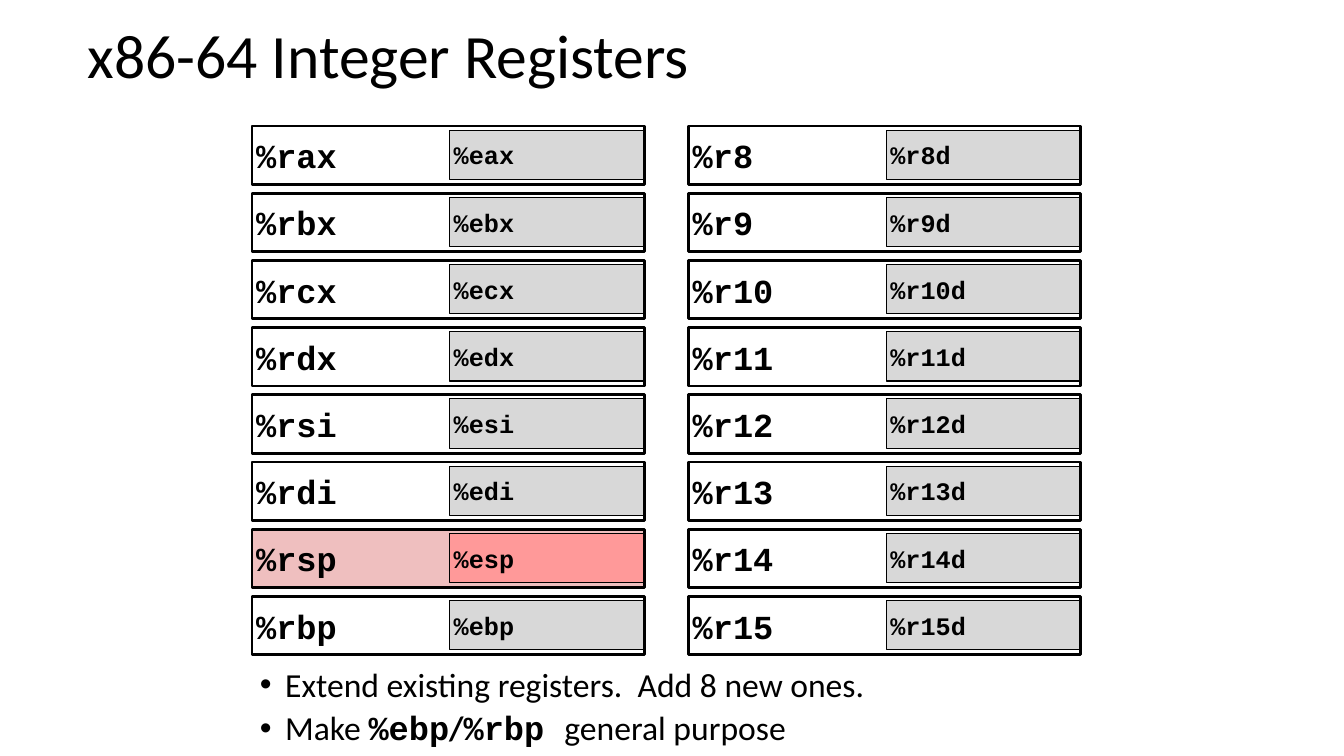
from lxml.etree import SubElement
from pptx import Presentation
from pptx.dml.color import RGBColor
from pptx.enum.shapes import MSO_SHAPE
from pptx.enum.text import MSO_ANCHOR, PP_ALIGN
from pptx.oxml.ns import qn
from pptx.util import Inches, Pt

LEFT_REGISTERS = ["rax", "rbx", "rcx", "rdx", "rsi", "rdi", "rsp", "rbp"]
RIGHT_REGISTERS = [f"r{number}" for number in range(8, 16)]
COLUMNS = [
    (2.5, LEFT_REGISTERS, ["e" + name[1:] for name in LEFT_REGISTERS]),
    (6.83, RIGHT_REGISTERS, [name + "d" for name in RIGHT_REGISTERS]),
]
FIRST_TOP = 1.25
ROW_PITCH = 2 / 3
STACK_POINTER = "rsp"


def color(value):
    return RGBColor.from_string(value)


def add_span(para, text, size=24, font="Calibri", bold=False, ink="000000"):
    span = para.add_run()
    span.text = text
    span.font.size = Pt(size)
    span.font.name = font
    span.font.bold = bold
    span.font.color.rgb = color(ink)


class RegisterSlide:
    code_font = "Courier New"
    ink = "000000"
    half_fill = "D8D8D8"
    highlight = "EFBFBF"
    half_highlight = "FF9999"

    def __init__(self, deck):
        self.page = deck.slides.add_slide(deck.slide_layouts[6])

    def text_frame(self, left, top, width, height, anchor):
        box = self.page.shapes.add_textbox(
            Inches(left), Inches(top), Inches(width), Inches(height))
        frame = box.text_frame
        frame.word_wrap = True
        frame.vertical_anchor = anchor
        return frame

    def title(self, text):
        frame = self.text_frame(0.77, -0.14, 11.5, 1.45, MSO_ANCHOR.MIDDLE)
        para = frame.paragraphs[0]
        para.line_spacing = 0.9
        add_span(para, text, size=44)

    def bullets(self, items):
        frame = self.text_frame(1.98, 6.58, 8.02, 0.92, MSO_ANCHOR.TOP)
        for index, spans in enumerate(items):
            para = frame.add_paragraph() if index else frame.paragraphs[0]
            properties = para._p.get_or_add_pPr()
            properties.set("marL", str(Inches(0.75)))
            properties.set("indent", str(Inches(-0.25)))
            SubElement(properties, qn("a:buFont"), typeface="Arial")
            SubElement(properties, qn("a:buChar"), char="•")
            para.line_spacing = 0.9
            if index:
                para.space_before = Pt(5)
            for text, style in spans:
                add_span(para, text, **style)

    def cell(self, left, top, width, height, text, size, line, fill=None):
        box = self.page.shapes.add_shape(
            MSO_SHAPE.RECTANGLE,
            Inches(left), Inches(top), Inches(width), Inches(height))
        box.shadow.inherit = False
        if fill:
            box.fill.solid()
            box.fill.fore_color.rgb = color(fill)
        else:
            box.fill.background()
        box.line.color.rgb = color(self.ink)
        box.line.width = Pt(line)
        frame = box.text_frame
        frame.margin_left = frame.margin_right = Inches(0.04)
        frame.margin_top = frame.margin_bottom = Inches(0.04)
        frame.vertical_anchor = MSO_ANCHOR.MIDDLE
        para = frame.paragraphs[0]
        para.alignment = PP_ALIGN.LEFT
        add_span(para, text, size=size, font=self.code_font, bold=True)

    def whole(self, left, top, name, fill=None):
        self.cell(left, top, 3.89, 0.58, f"%{name}", 24, 2, fill)

    def half(self, left, top, name, fill, line=0.75):
        self.cell(left + 1.96, top + 0.04, 1.93, 0.49, f"%{name}", 18, line, fill)

    def register(self, left, top, name, half_name):
        if name == STACK_POINTER:
            self.whole(left, top, name, self.highlight)
            self.half(left, top, half_name, self.half_highlight, 1)
        else:
            self.half(left, top, half_name, self.half_fill)
            self.whole(left, top, name)


def main():
    deck = Presentation()
    deck.slide_width = Inches(13.33)
    deck.slide_height = Inches(7.5)
    slide = RegisterSlide(deck)
    slide.title("x86-64 Integer Registers")
    for left, names, half_names in COLUMNS:
        for row, (name, half_name) in enumerate(zip(names, half_names)):
            slide.register(left, FIRST_TOP + row * ROW_PITCH, name, half_name)
    code = {"font": slide.code_font, "bold": True}
    slide.bullets([
        [("Extend existing registers.  Add 8 new ones.", {})],
        [("Make ", {}), ("%ebp", code), ("/", {"bold": True}),
         ("%rbp ", code), ("general purpose", {})],
    ])
    deck.save("out.pptx")


if __name__ == "__main__":
    main()
